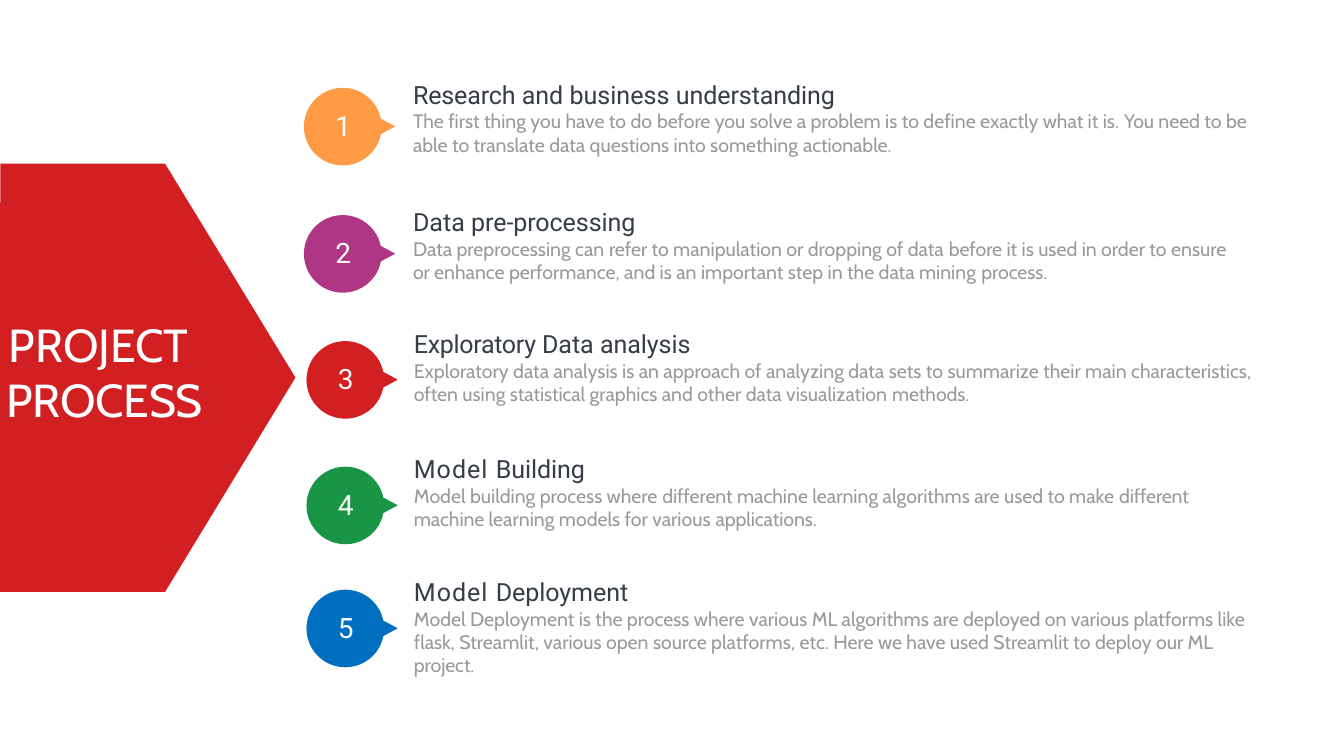
from pptx import Presentation
from pptx.dml.color import RGBColor
from pptx.enum.shapes import MSO_SHAPE
from pptx.enum.text import MSO_AUTO_SIZE
from pptx.util import Pt

PX = 6350
SLIDE_WIDTH = 3166
SLIDE_HEIGHT = 1782
OVAL = MSO_SHAPE.OVAL
GROW = MSO_AUTO_SIZE.SHAPE_TO_FIT_TEXT
COLORS = {
    "white": "FFFFFF", "heading": "363D47", "body": "999999",
    "orange": "FF9A45", "purple": "AE3685", "red": "D21F22",
    "green": "189545", "blue": "006FC0",
}
BADGE = 183
TEXT_MARGIN = 2

STEPS = [
    {"color": "orange", "badge": (716, 207), "text": (971, 184, 2055, 186),
     "heading": [("Research", -20), (" and business ", 0), ("understanding", -10)],
     "body": [("The first thing you have to do ", 0), ("before ", -10),
              ("you solve a problem is to define exactly what it is.", 0),
              (" You ", -20), ("need to be able ", 0), ("to ", -20),
              ("translate data questions into something ", 0), ("actionable.", -10)]},
    {"color": "purple", "badge": (716, 507), "text": (971, 484, 1930, 186),
     "heading": [("Data ", 0), ("pre-processing", -10)],
     "body": [("Data preprocessing can ", 0), ("refer ", -10),
              ("to manipulation or dropping of data ", 0), ("before ", -10),
              ("it is used in order to ensure ", 0), ("or ", -20),
              ("enhance performance, and is an important step in the data mining ", 0),
              ("process.", -10)]},
    {"color": "red", "badge": (722, 804), "text": (973, 771, 2035, 186),
     "heading": [("Exploratory ", -40), ("Data ", 0), ("analysis", -10)],
     "body": [("Exploratory data analysis is an approach of analyzing data sets "
               "to summarize their main characteristics, ", 0),
              ("often ", -10), ("using ", 0), ("statistical ", -10),
              ("graphics and other data visualization ", 0), ("methods.", -10)]},
    {"color": "green", "badge": (722, 1100), "text": (973, 1067, 1961, 186),
     "heading": [("Model ", 120), ("Building", -10)],
     "body": [("Model building process where ", 0), ("different ", -10),
              ("machine learning algorithms are used to make ", 0),
              ("different ", -20), ("machine ", -10),
              ("learning models for various ", 0), ("applications.", -10)]},
    {"color": "blue", "badge": (722, 1390), "text": (973, 1356, 2020, 240),
     "heading": [("Model ", 120), ("Deployment", -10)],
     "body": [("Model Deployment is the process where various ML algorithms "
               "are deployed on various platforms like ", 0),
              ("flask, ", -10),
              ("Streamlit, various open source platforms, etc. Here we have used "
               "Streamlit to deploy our ML ", 0),
              ("project.", -10)]},
]


def paint(shape, color):
    """Give a shape a flat fill without line or shadow."""
    shape.fill.solid()
    shape.fill.fore_color.rgb = RGBColor.from_string(COLORS[color])
    shape.line.fill.background()
    shape.shadow.inherit = False


def add_polygon(slide, points, color):
    """Draw a closed, filled outline through the points."""
    outline = slide.shapes.build_freeform(*points[0], scale=PX)
    outline.add_line_segments(points[1:], close=True)
    paint(outline.convert_to_shape(), color)


def add_text(slide, box, top_inset, paragraphs):
    """Place paragraphs of (runs, font, size, color, space before, indent)."""
    frame = slide.shapes.add_textbox(*(value * PX for value in box)).text_frame
    frame.word_wrap = True
    frame.auto_size = GROW
    frame.margin_left = frame.margin_right = frame.margin_bottom = 0
    frame.margin_top = top_inset * PX
    for index, (runs, font, size, color, before, indent) in enumerate(paragraphs):
        paragraph = frame.add_paragraph() if index else frame.paragraphs[0]
        paragraph.space_before = Pt(before)
        properties = paragraph._p.get_or_add_pPr()
        properties.set("marL", str(TEXT_MARGIN * PX))
        properties.set("indent", str(indent * PX))
        for text, spacing in runs:
            run = paragraph.add_run()
            run.text = text
            run.font.name = font
            run.font.size = Pt(size)
            run.font.color.rgb = RGBColor.from_string(COLORS[color])
            run._r.get_or_add_rPr().set("spc", str(spacing))


def add_title_arrow(slide, left, top, width, height):
    """Draw the red arrow block with the slide title."""
    shoulder, bottom, notch = left + 389, top + height, top + 91
    add_polygon(slide, [
        (left + width, top + height // 2), (shoulder, top), (left + 1, top),
        (left + 1, notch), (left, notch), (left, bottom), (shoulder, bottom),
    ], "red")
    title = [("PROJECT ", -10), ("PROCESS", -30)]
    add_text(slide, (left + 13, top + 357, 550, 265), 2,
             [(title, "Cabin", 54.5, "white", 0.9, 6)])


def add_badge(slide, left, top, number, color):
    """Draw a numbered disc with a pointer on its right."""
    disc = slide.shapes.add_shape(OVAL, left * PX, top * PX, BADGE * PX, BADGE * PX)
    paint(disc, color)
    add_text(slide, (left + 72, top + 47, 40, 84), 2,
             [([(str(number), -50)], "Roboto", 33, "white", 0.9, 0)])
    add_polygon(slide, [(left + 176, top + 70), (left + 176, top + 112),
                        (left + 215, top + 91)], color)


def add_step(slide, number, step):
    """Add one process step: badge, heading and description."""
    add_badge(slide, *step["badge"], number, step["color"])
    add_text(slide, step["text"], 3, [
        (step["heading"], "Roboto", 29.5, "heading", 1.1, 0),
        (step["body"], "Cabin", 23, "body", 0.1, 0),
    ])


def main():
    """Build the project process slide."""
    deck = Presentation()
    deck.slide_width = SLIDE_WIDTH * PX
    deck.slide_height = SLIDE_HEIGHT * PX
    deck.element.sldSz.attrib.pop("type", None)
    slide = deck.slides.add_slide(deck.slide_layouts[6])
    add_title_arrow(slide, 0, 386, 696, 1009)
    for number, step in enumerate(STEPS, 1):
        add_step(slide, number, step)
    deck.save("out.pptx")


if __name__ == "__main__":
    main()
